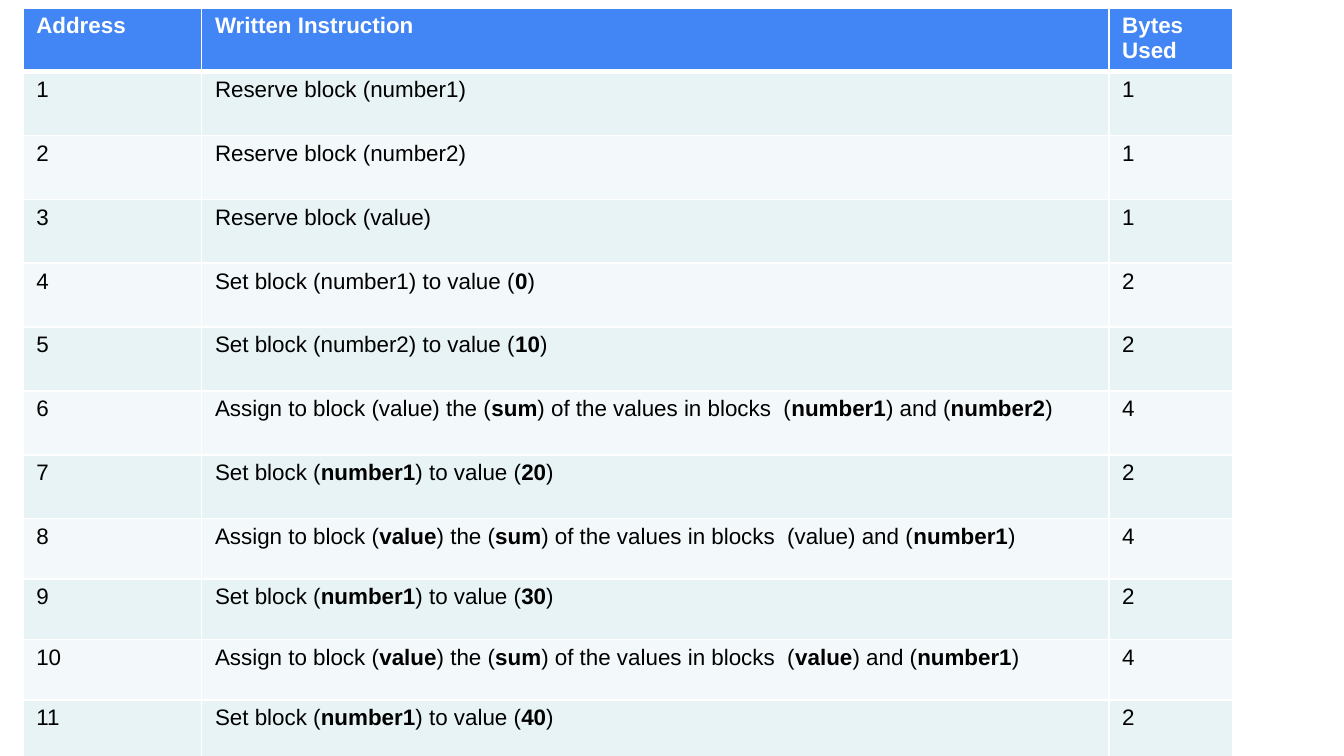
from lxml import etree
from pptx import Presentation
from pptx.dml.color import RGBColor
from pptx.oxml.ns import qn
from pptx.util import Inches, Pt

WHITE = RGBColor(0xFF, 0xFF, 0xFF)
BLACK = RGBColor(0x00, 0x00, 0x00)
HEADER_BLUE = RGBColor(0x42, 0x85, 0xF4)
BAND_DARK = RGBColor(0xE7, 0xF3, 0xF4)
BAND_LIGHT = RGBColor(0xF3, 0xF9, 0xFA)

FONT = "Arial"
BOLD_MARK = "*"
SLIDE_WIDTH = 10
SLIDE_HEIGHT = SLIDE_WIDTH * 9 / 16
COLUMN_WIDTHS = [1.33, 6.75, 0.92]
TALL_ROW = 3.8 / 8
SHORT_ROW = 0.45
SHORT_ADDRESSES = (8, 9, 10)

HEADER = ("Address", "Written Instruction", "Bytes Used")
# Written instruction, with bold words between marks, and bytes used
INSTRUCTIONS = [
    ("Reserve block (number1)", 1),
    ("Reserve block (number2)", 1),
    ("Reserve block (value)", 1),
    ("Set block (number1) to value (*0*)", 2),
    ("Set block (number2) to value (*10*)", 2),
    ("Assign to block (value) the (*sum*) of the values in blocks  (*number1*) and (*number2*)", 4),
    ("Set block (*number1*) to value (*20*)", 2),
    ("Assign to block (*value*) the (*sum*) of the values in blocks  (value) and (*number1*)", 4),
    ("Set block (*number1*) to value (*30*)", 2),
    ("Assign to block (*value*) the (*sum*) of the values in blocks  (*value*) and (*number1*)", 4),
    ("Set block (*number1*) to value (*40*)", 2),
]


def set_borders(cell, top, bottom):
    """Draw white borders; top and bottom widths are in points."""
    properties = cell._tc.get_or_add_tcPr()
    for side, width in (("L", 1), ("R", 1), ("T", top), ("B", bottom)):
        line = etree.SubElement(properties, qn(f"a:ln{side}"), w=str(Pt(width)))
        fill = etree.SubElement(line, qn("a:solidFill"))
        etree.SubElement(fill, qn("a:srgbClr"), val=str(WHITE))


def write_text(cell, text, color, header):
    """Write text, with every second piece between marks in bold."""
    para = cell.text_frame.paragraphs[0]
    for index, piece in enumerate(text.split(BOLD_MARK)):
        span = para.add_run()
        span.text = piece
        span.font.name = FONT
        span.font.size = Pt(12)
        span.font.bold = header or index % 2 == 1
        span.font.color.rgb = color


def format_cell(cell, text, row):
    header = row == 0
    cell.margin_left = cell.margin_right = Inches(0.1)
    cell.margin_top = cell.margin_bottom = Inches(0.04)
    # The rule under the header is thicker than the others
    set_borders(cell, top=3 if row == 1 else 1, bottom=3 if header else 1)
    cell.fill.solid()
    band = BAND_DARK if row % 2 else BAND_LIGHT
    cell.fill.fore_color.rgb = HEADER_BLUE if header else band
    write_text(cell, text, WHITE if header else BLACK, header)


def add_instruction_table(page):
    rows = [HEADER] + [(str(address), instruction, str(size))
                       for address, (instruction, size) in enumerate(INSTRUCTIONS, 1)]
    heights = [SHORT_ROW if row in SHORT_ADDRESSES else TALL_ROW for row in range(len(rows))]
    frame = page.shapes.add_table(len(rows), len(HEADER), Inches(0.17), Inches(0.06),
                                  Inches(sum(COLUMN_WIDTHS)), Inches(sum(heights)))
    table = frame.table
    for column, width in zip(table.columns, COLUMN_WIDTHS):
        column.width = Inches(width)
    for row, (texts, height) in enumerate(zip(rows, heights)):
        table.rows[row].height = Inches(height)
        for column, text in enumerate(texts):
            format_cell(table.cell(row, column), text, row)


def main():
    deck = Presentation()
    deck.slide_width = Inches(SLIDE_WIDTH)
    deck.slide_height = Inches(SLIDE_HEIGHT)
    # Blank layout: the slide has no title
    page = deck.slides.add_slide(deck.slide_layouts[6])
    add_instruction_table(page)
    deck.save("out.pptx")


main()
